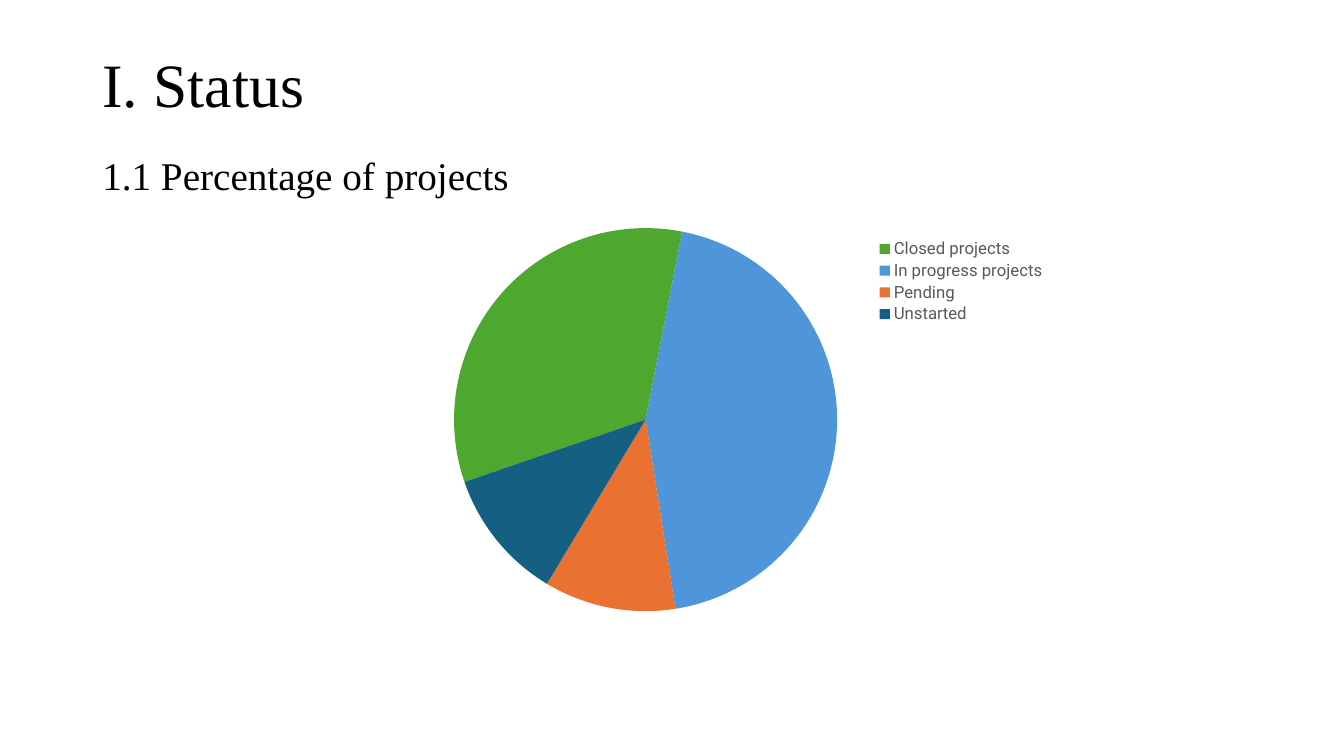
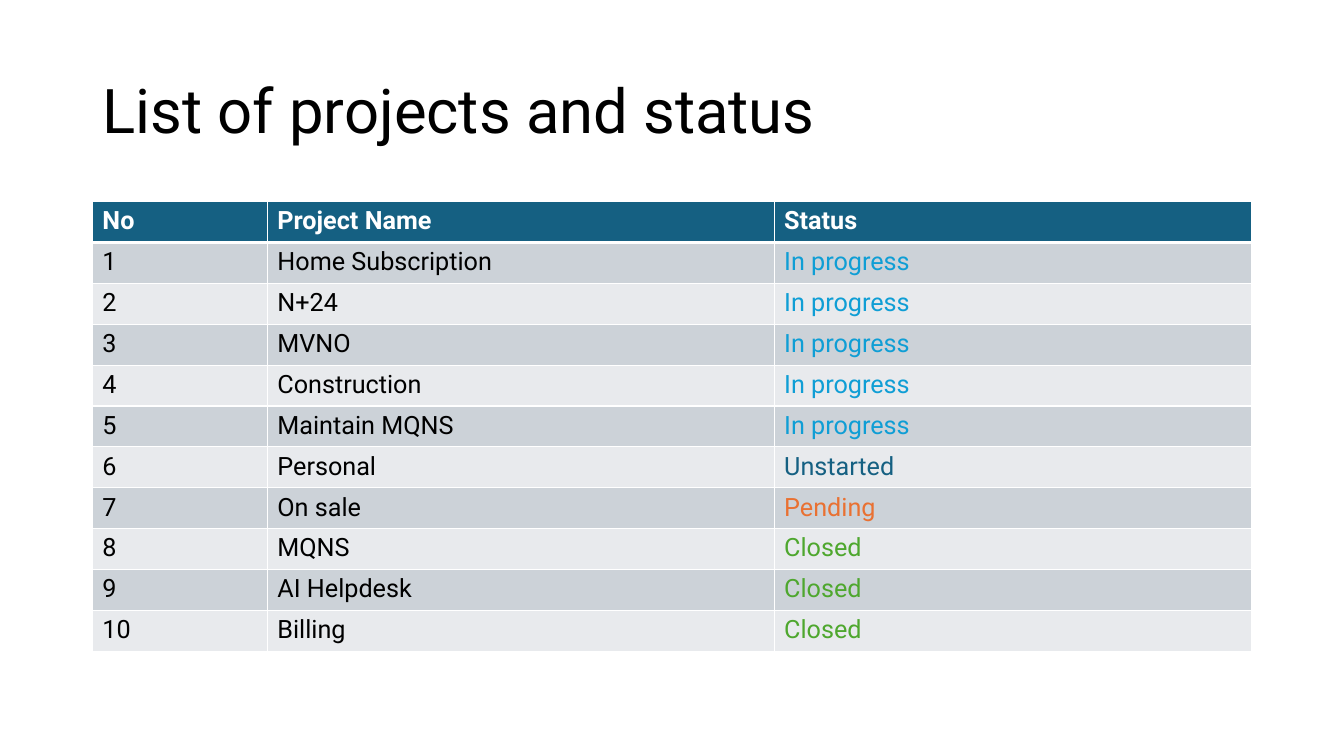
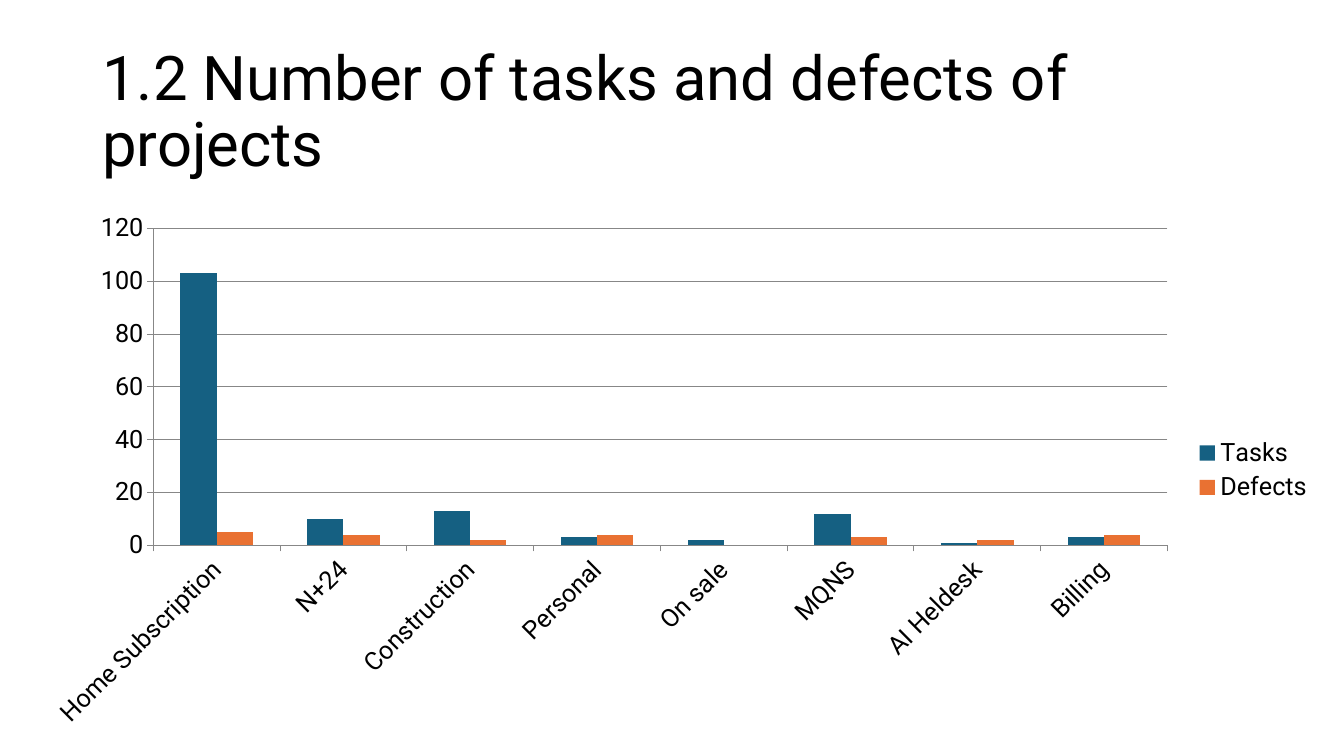
from lxml import etree
from pptx import Presentation
from pptx.chart.data import CategoryChartData
from pptx.dml.color import RGBColor
from pptx.enum.chart import XL_CHART_TYPE, XL_LEGEND_POSITION, XL_TICK_MARK
from pptx.enum.text import MSO_ANCHOR
from pptx.oxml.ns import qn
from pptx.util import Pt

PIE = XL_CHART_TYPE.PIE
COLUMNS = XL_CHART_TYPE.COLUMN_CLUSTERED
RIGHT = XL_LEGEND_POSITION.RIGHT
OUTSIDE = XL_TICK_MARK.OUTSIDE
MIDDLE, TOP = MSO_ANCHOR.MIDDLE, MSO_ANCHOR.TOP

COLORS = {
    "black": "000000",
    "white": "FFFFFF",
    "gray": "595959",
    "grid": "878787",
    "navy": "156082",
    "sky": "4E95D9",
    "cyan": "0F9ED5",
    "green": "4EA72E",
    "orange": "E97132",
    "band_dark": "CCD2D8",
    "band_light": "E8EAED",
}
STATUS_COLORS = {
    "In progress": "cyan",
    "Unstarted": "navy",
    "Pending": "orange",
    "Closed": "green",
}
SANS, SERIF = "Roboto", "Times New Roman"
LEFT, WIDTH = 66, 828


def rgb(name):
    return RGBColor.from_string(COLORS[name])


class Deck:
    def __init__(self):
        self.prs = Presentation()
        self.prs.slide_width, self.prs.slide_height = Pt(960), Pt(540)
        self.slide = None

    def new_slide(self):
        self.slide = self.prs.slides.add_slide(self.prs.slide_layouts[6])

    def style(self, font, size, color="black", face=SANS, bold=False):
        font.name, font.size, font.bold = face, Pt(size), bold
        font.color.rgb = rgb(color)

    def text(self, words, top, height, size, face=SANS, anchor=TOP, before=0):
        box = self.slide.shapes.add_textbox(Pt(LEFT), Pt(top), Pt(WIDTH), Pt(height))
        frame = box.text_frame
        frame.word_wrap = True
        frame.vertical_anchor = anchor
        paragraph = frame.paragraphs[0]
        paragraph.text = words
        paragraph.line_spacing = 0.9
        paragraph.space_before = Pt(before)
        self.style(paragraph.font, size, face=face)

    def title(self, words, height=104.4, face=SANS):
        self.text(words, 28.8, height, 44, face, MIDDLE)

    def border(self, cell, side, width):
        line = etree.SubElement(cell._tc.get_or_add_tcPr(), qn(f"a:ln{side}"), w=str(Pt(width)))
        fill = etree.SubElement(line, qn("a:solidFill"))
        etree.SubElement(fill, qn("a:srgbClr"), val=COLORS["white"])

    def cell(self, cell, words, fill, color, bold, widths):
        for side, width in widths.items():
            self.border(cell, side, width)
        cell.fill.solid()
        cell.fill.fore_color.rgb = rgb(fill)
        paragraph = cell.text_frame.paragraphs[0]
        paragraph.text = words
        self.style(paragraph.font, 18, color, bold=bold)

    def table(self, rows, top, column_widths, row_height):
        table = self.slide.shapes.add_table(
            len(rows), len(column_widths), Pt(LEFT), Pt(top),
            Pt(sum(column_widths)), Pt(row_height * len(rows))).table
        for column, width in zip(table.columns, column_widths):
            column.width = Pt(width)
        for r, row in enumerate(rows):
            table.rows[r].height = Pt(row_height)
            header = r == 0
            band = "navy" if header else "band_dark" if r % 2 else "band_light"
            widths = {"L": 1, "R": 1, "T": 3 if r == 1 else 1, "B": 3 if header else 1}
            for c, words in enumerate(row):
                color = "white" if header else STATUS_COLORS.get(words, "black")
                self.cell(table.cell(r, c), words, band, color, header, widths)

    def place(self, part, index, **fractions):
        for layout in part.findall(qn("c:layout")):
            part.remove(layout)
        layout = etree.Element(qn("c:layout"))
        part.insert(index, layout)
        manual = etree.SubElement(layout, qn("c:manualLayout"))
        if index == 0:
            etree.SubElement(manual, qn("c:layoutTarget"), val="inner")
        for axis in "xy":
            etree.SubElement(manual, qn(f"c:{axis}Mode"), val="edge")
        for key, fraction in fractions.items():
            etree.SubElement(manual, qn(f"c:{key}"), val=str(fraction))

    def chart(self, kind, box, categories, series, size, legend_color, plot_area):
        data = CategoryChartData()
        data.categories = categories
        for name, values in series.items():
            data.add_series(name, values)
        chart = self.slide.shapes.add_chart(kind, *map(Pt, box), data).chart
        chart.has_title = False
        self.style(chart.font, size)
        chart.has_legend = True
        chart.legend.position = RIGHT
        chart.legend.include_in_layout = False
        self.style(chart.legend.font, size, legend_color)
        self.place(chart.element.xpath(".//c:plotArea")[0], 0, **plot_area)
        return chart

    def pie(self, box, shares, colors, start):
        chart = self.chart(PIE, box, list(shares), {"Series 1": list(shares.values())},
                           12, "gray", dict(x=0.27, y=0.03, w=0.46, h=0.86))
        self.place(chart.element.xpath(".//c:legend")[0], 1, x=0.77, y=0.05, w=0.21, h=0.2)
        plot = chart.plots[0]
        plot.vary_by_categories = True
        for i, color in enumerate(colors):
            fill = plot.series[0].points[i].format.fill
            fill.solid()
            fill.fore_color.rgb = rgb(color)
        pie = chart.element.xpath(".//c:pieChart")[0]
        etree.SubElement(pie, qn("c:firstSliceAng"), val=str(start))

    def columns(self, box, categories, series, colors):
        chart = self.chart(COLUMNS, box, categories, series, 18, "black",
                           dict(x=0.1, y=0.05, w=0.78, h=0.59))
        plot = chart.plots[0]
        plot.vary_by_categories = False
        plot.gap_width, plot.overlap = 150, 0
        for bars, color in zip(plot.series, colors):
            bars.format.fill.solid()
            bars.format.fill.fore_color.rgb = rgb(color)
            bars.invert_if_negative = False
        counts = chart.value_axis
        counts.minimum_scale, counts.maximum_scale, counts.major_unit = 0, 120, 20
        counts.has_major_gridlines = True
        lines = [counts.major_gridlines.format.line]
        for axis in (chart.category_axis, counts):
            axis.major_tick_mark = OUTSIDE
            self.style(axis.tick_labels.font, 18)
            lines.append(axis.format.line)
        for line in lines:
            line.color.rgb = rgb("grid")
            line.width = Pt(0.75)
        chart.element.xpath(".//c:catAx/c:txPr/a:bodyPr")[0].set("rot", "-2700000")


def main():
    deck = Deck()

    deck.new_slide()
    deck.title("I. Status", 67.7, SERIF)
    deck.text("1.1 Percentage of projects", 108, 378.7, 28, SERIF, before=10)
    shares = {"Closed projects": 33, "In progress projects": 44, "Pending": 11, "Unstarted": 11}
    deck.pie((160.6, 153.4, 601.2, 318.2), shares, ["green", "sky", "orange", "navy"], 251)

    deck.new_slide()
    deck.title("List of projects and status")
    projects = [
        ("Home Subscription", "In progress"),
        ("N+24", "In progress"),
        ("MVNO", "In progress"),
        ("Construction", "In progress"),
        ("Maintain MQNS", "In progress"),
        ("Personal", "Unstarted"),
        ("On sale", "Pending"),
        ("MQNS", "Closed"),
        ("AI Helpdesk", "Closed"),
        ("Billing", "Closed"),
    ]
    rows = [("No", "Project Name", "Status")]
    rows += [(str(number), *project) for number, project in enumerate(projects, 1)]
    deck.table(rows, 144, (125, 362, 341), 29.2)

    deck.new_slide()
    deck.title("1.2 Number of tasks and defects of projects")
    deck.columns(
        (16.6, 144, 928.8, 383.8),
        ["Home Subscription", "N+24", "Construction", "Personal",
         "On sale", "MQNS", "AI Heldesk", "Billing"],
        {"Tasks": (103, 10, 13, 3, 2, 12, 1, 3), "Defects": (5, 4, 2, 4, None, 3, 2, 4)},
        ["navy", "orange"])

    deck.prs.save("out.pptx")


if __name__ == "__main__":
    main()
